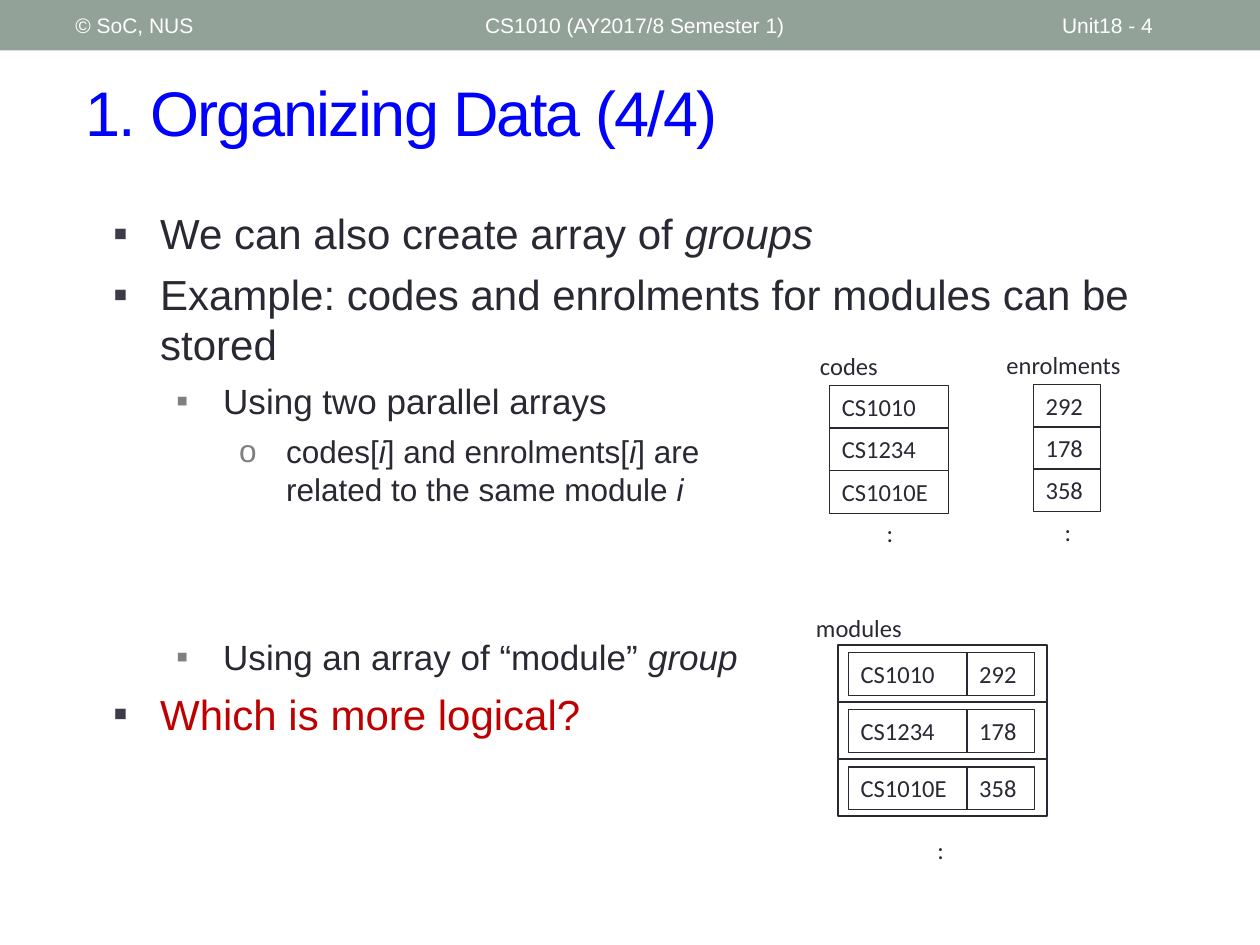
from dataclasses import dataclass

from lxml import etree
from pptx import Presentation
from pptx.dml.color import RGBColor
from pptx.enum.shapes import MSO_SHAPE
from pptx.enum.text import MSO_ANCHOR, MSO_AUTO_SIZE, PP_ALIGN
from pptx.oxml.ns import qn
from pptx.util import Cm, Pt

RECTANGLE = MSO_SHAPE.RECTANGLE
TOP, MIDDLE = MSO_ANCHOR.TOP, MSO_ANCHOR.MIDDLE
GROW, FIXED = MSO_AUTO_SIZE.SHAPE_TO_FIT_TEXT, MSO_AUTO_SIZE.NONE
LEFT, CENTER = PP_ALIGN.LEFT, PP_ALIGN.CENTER

INK = RGBColor(0x29, 0x29, 0x34)
BAND = RGBColor(0x93, 0xA2, 0x99)
WHITE = RGBColor(0xFF, 0xFF, 0xFF)
BLUE = RGBColor(0x00, 0x00, 0xFF)
RED = RGBColor(0xC0, 0x00, 0x00)
BULLET_DARK = RGBColor(0x3B, 0x3B, 0x4B)
BULLET_GREY = RGBColor(0x80, 0x80, 0x80)

CELL_HEIGHT = 0.86
CODE_WIDTH, COUNT_WIDTH = 2.4, 1.36
FRAME_HEIGHT = 1.15
CODES = ["CS1010", "CS1234", "CS1010E"]
COUNTS = ["292", "178", "358"]


@dataclass
class Place:
    left: float
    top: float
    width: float
    height: float = CELL_HEIGHT

    def lengths(self) -> list:
        return [Cm(value) for value in (self.left, self.top, self.width, self.height)]


@dataclass
class Span:
    text: str
    italic: bool = False
    new_line: bool = False


@dataclass
class Point:
    level: int
    spans: list[Span]
    color: RGBColor = INK
    space: float = 6


@dataclass
class Level:
    size: int
    margin: float
    mark: str
    mark_color: RGBColor


@dataclass
class Column:
    values: list[str]
    place: Place
    pitch: float


LEVELS = [
    Level(24, 0.95, "▪", BULLET_DARK),
    Level(20, 2.22, "▪", BULLET_GREY),
    Level(18, 3.49, "o", BULLET_GREY),
]
POINTS = [
    Point(0, [Span("We can also create array of "), Span("groups", True)], space=0),
    Point(0, [Span("Example: codes and enrolments for modules can be stored")]),
    Point(1, [Span("Using two parallel arrays")]),
    Point(2, [Span("codes["), Span("i", True), Span("] and enrolments["),
              Span("i", True), Span("] are"),
              Span("related to the same module ", new_line=True), Span("i", True)]),
    Point(1, [Span("Using an array of “module” "), Span("group", True)], space=73),
    Point(0, [Span("Which is more logical?")], RED),
]
HEADERS = [
    ("CS1010 (AY2017/8 Semester 1)", Place(9.53, 0.05, 11.43, 0.91)),
    ("Unit18 - 4", Place(21.16, 0.05, 2.97, 0.91)),
    ("© SoC, NUS", Place(1.27, 0.05, 8.05, 0.91)),
]


def apply(target, formats: dict) -> None:
    for name, value in formats.items():
        setattr(target, name, value)


def add_span(para, text: str, size: float, color: RGBColor,
             font: str = "Arial", italic: bool = False):
    span = para.add_run()
    span.text = text
    apply(span.font, {"size": Pt(size), "name": font, "italic": italic})
    span.font.color.rgb = color
    return span


def add_label(shapes, text: str, place: Place, align=LEFT) -> None:
    box = shapes.add_textbox(*place.lengths())
    apply(box.text_frame, {"word_wrap": True, "auto_size": GROW})
    para = box.text_frame.paragraphs[0]
    para.alignment = align
    add_span(para, text, 14, INK, "Calibri")


def add_outline(shapes, place: Place, weight: float):
    box = shapes.add_shape(RECTANGLE, *place.lengths())
    box.shadow.inherit = False
    box.fill.background()
    box.line.color.rgb = INK
    box.line.width = Pt(weight)
    return box


def add_column(shapes, column: Column) -> None:
    start = column.place
    for row, value in enumerate(column.values):
        place = Place(start.left, start.top + row * column.pitch, start.width)
        box = add_outline(shapes, place, 0.75)
        apply(box.text_frame, {"word_wrap": True, "auto_size": GROW,
                               "vertical_anchor": TOP})
        para = box.text_frame.paragraphs[0]
        para.alignment = LEFT
        add_span(para, value, 14, INK, "Calibri")


def add_header(page) -> None:
    band = page.shapes.add_shape(RECTANGLE, *Place(0, 0, 25.4, 1.02).lengths())
    band.shadow.inherit = False
    band.fill.solid()
    band.fill.fore_color.rgb = BAND
    band.line.fill.background()
    for text, place in HEADERS:
        box = page.shapes.add_textbox(*place.lengths())
        apply(box.text_frame, {"word_wrap": True, "vertical_anchor": MIDDLE})
        add_span(box.text_frame.paragraphs[0], text, 12, WHITE)


def add_title(page) -> None:
    title = page.shapes.title
    place = Place(1.47, 1.07, 23.29, 2.34).lengths()
    apply(title, dict(zip(("left", "top", "width", "height"), place)))
    apply(title.text_frame, {"vertical_anchor": MIDDLE, "auto_size": FIXED})
    para = title.text_frame.paragraphs[0]
    para.alignment = LEFT
    span = add_span(para, "1. Organizing Data (4/4)", 36, BLUE)
    span.font._element.set("spc", "-100")


def add_bullet(para, level: Level) -> None:
    properties = para._p.get_or_add_pPr()
    properties.set("marL", str(Cm(level.margin)))
    properties.set("indent", str(-Cm(0.95)))
    color = etree.SubElement(properties, qn("a:buClr"))
    etree.SubElement(color, qn("a:srgbClr"), val=str(level.mark_color))
    etree.SubElement(properties, qn("a:buFont"), typeface="Arial")
    etree.SubElement(properties, qn("a:buChar"), char=level.mark)


def add_points(page) -> None:
    box = page.shapes.add_textbox(*Place(2.03, 4.06, 21.77, 13.03).lengths())
    box.text_frame.word_wrap = True
    for index, point in enumerate(POINTS):
        frame = box.text_frame
        para = frame.add_paragraph() if index else frame.paragraphs[0]
        level = LEVELS[point.level]
        add_bullet(para, level)
        apply(para, {"level": point.level, "space_before": Pt(point.space)})
        for span in point.spans:
            if span.new_line:
                para.add_line_break()
            add_span(para, span.text, level.size, point.color, italic=span.italic)


def add_parallel_arrays(page) -> None:
    shapes = page.shapes.add_group_shape().shapes
    add_column(shapes, Column(CODES, Place(16.72, 7.77, CODE_WIDTH), 0.86))
    add_label(shapes, ":", Place(16.74, 10.31, CODE_WIDTH), CENTER)
    add_label(shapes, "codes", Place(16.28, 6.96, 2))
    add_column(shapes, Column(COUNTS, Place(20.83, 7.75, COUNT_WIDTH), 0.85))
    add_label(shapes, ":", Place(20.85, 10.29, COUNT_WIDTH), CENTER)
    add_label(shapes, "enrolments", Place(20.04, 6.93, 2.92))


def add_module_array(page) -> None:
    shapes = page.shapes.add_group_shape().shapes
    add_label(shapes, "modules", Place(16.2, 12.24, 3.12))
    add_label(shapes, ":", Place(17.1, 16.71, 3.73), CENTER)
    add_column(shapes, Column(CODES, Place(17.1, 13.16, CODE_WIDTH), FRAME_HEIGHT))
    add_column(shapes, Column(COUNTS, Place(19.49, 13.16, COUNT_WIDTH), FRAME_HEIGHT))
    for row in range(len(CODES)):
        top = 13 + row * FRAME_HEIGHT
        add_outline(shapes, Place(16.89, top, 4.22, FRAME_HEIGHT), 1)


def main() -> None:
    deck = Presentation()
    apply(deck, {"slide_width": Cm(25.4), "slide_height": Cm(19.05)})
    page = deck.slides.add_slide(deck.slide_layouts[5])
    for draw in (add_header, add_title, add_points, add_parallel_arrays, add_module_array):
        draw(page)
    deck.save("out.pptx")


if __name__ == "__main__":
    main()
